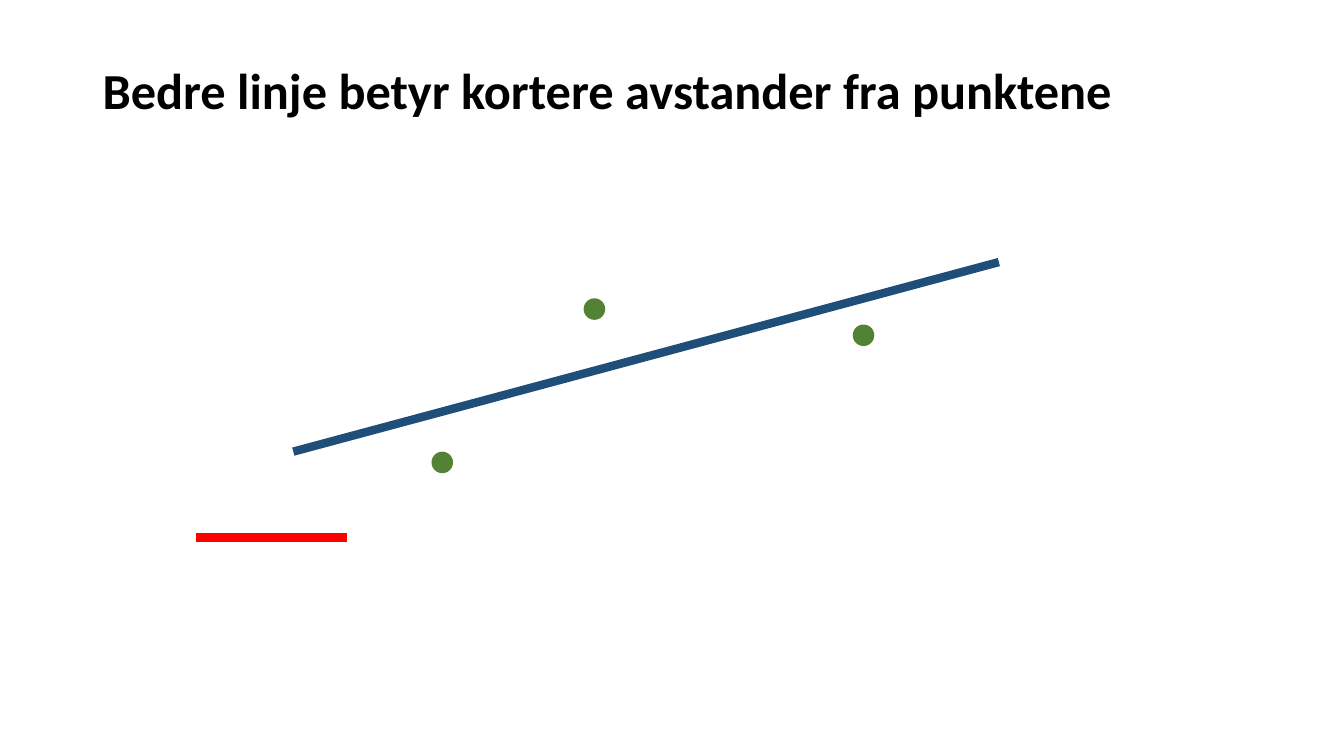
from dataclasses import dataclass
from itertools import pairwise

from lxml.etree import SubElement
from pptx import Presentation
from pptx.dml.color import RGBColor
from pptx.enum.shapes import MSO_CONNECTOR, MSO_SHAPE
from pptx.enum.text import MSO_ANCHOR
from pptx.oxml.ns import qn
from pptx.slide import Slide
from pptx.util import Pt

BLACK = RGBColor(0x00, 0x00, 0x00)
RED = RGBColor(0xFF, 0x00, 0x00)
BLUE = RGBColor(0x1F, 0x4E, 0x79)
GREEN = RGBColor(0x54, 0x82, 0x35)

LINE_WIDTH = 6
POINT_DIAMETER = 15.4


@dataclass(frozen=True)
class Segment:
    """A straight line between two positions, in points."""

    x1: float
    y1: float
    x2: float
    y2: float
    color: RGBColor


@dataclass(frozen=True)
class DataPoint:
    """A round data point by its left and top, in points."""

    left: float
    top: float
    rotation: float = 0


DISTANCE_ENDS = (139.7, 178.6, 217.4, 247.7)
DISTANCE_Y = 383.8
DISTANCES = [
    Segment(start, DISTANCE_Y, end, DISTANCE_Y, RED)
    for start, end in pairwise(DISTANCE_ENDS)
]
FITTED_LINE = Segment(209.5, 322.6, 713.5, 187.2, BLUE)
DATA_POINTS = (
    DataPoint(308.2, 322.6),
    DataPoint(609.1, 231.8),
    DataPoint(416.9, 213.1, 357.4),
)
TITLE_FONT = {"name": "Calibri", "size": Pt(36), "bold": True}


def draw_segment(slide: Slide, segment: Segment) -> None:
    """Draw one thick line without a shadow."""
    ends = (segment.x1, segment.y1, segment.x2, segment.y2)
    connector = slide.shapes.add_connector(MSO_CONNECTOR.STRAIGHT, *map(Pt, ends))
    connector.line.color.rgb = segment.color
    connector.line.width = Pt(LINE_WIDTH)
    SubElement(connector._element.spPr, qn("a:effectLst"))


def draw_point(slide: Slide, point: DataPoint) -> None:
    """Draw one filled data point without an outline."""
    bounds = (point.left, point.top, POINT_DIAMETER, POINT_DIAMETER)
    dot = slide.shapes.add_shape(MSO_SHAPE.OVAL, *map(Pt, bounds))
    dot.rotation = point.rotation
    dot.shadow.inherit = False
    dot.fill.solid()
    dot.fill.fore_color.rgb = GREEN
    dot.line.fill.background()


def draw_title(slide: Slide, wording: str) -> None:
    """Write the heading at the top of the slide."""
    bounds = (66.2, 43.9, 828, 104.4)
    frame = slide.shapes.add_textbox(*map(Pt, bounds)).text_frame
    frame.word_wrap = True
    frame.vertical_anchor = MSO_ANCHOR.TOP
    heading = frame.paragraphs[0]
    heading.line_spacing = 0.9
    run = heading.add_run()
    run.text = wording
    run.font.color.rgb = BLACK
    for attribute, value in TITLE_FONT.items():
        setattr(run.font, attribute, value)


def main() -> None:
    """Build and save the slide."""
    presentation = Presentation()
    presentation.slide_width = Pt(960)
    presentation.slide_height = Pt(540)
    slide = presentation.slides.add_slide(presentation.slide_layouts[6])
    for distance in reversed(DISTANCES):
        draw_segment(slide, distance)
    draw_title(slide, "Bedre linje betyr kortere avstander fra punktene")
    draw_segment(slide, FITTED_LINE)
    for point in DATA_POINTS:
        draw_point(slide, point)
    presentation.save("out.pptx")


main()
